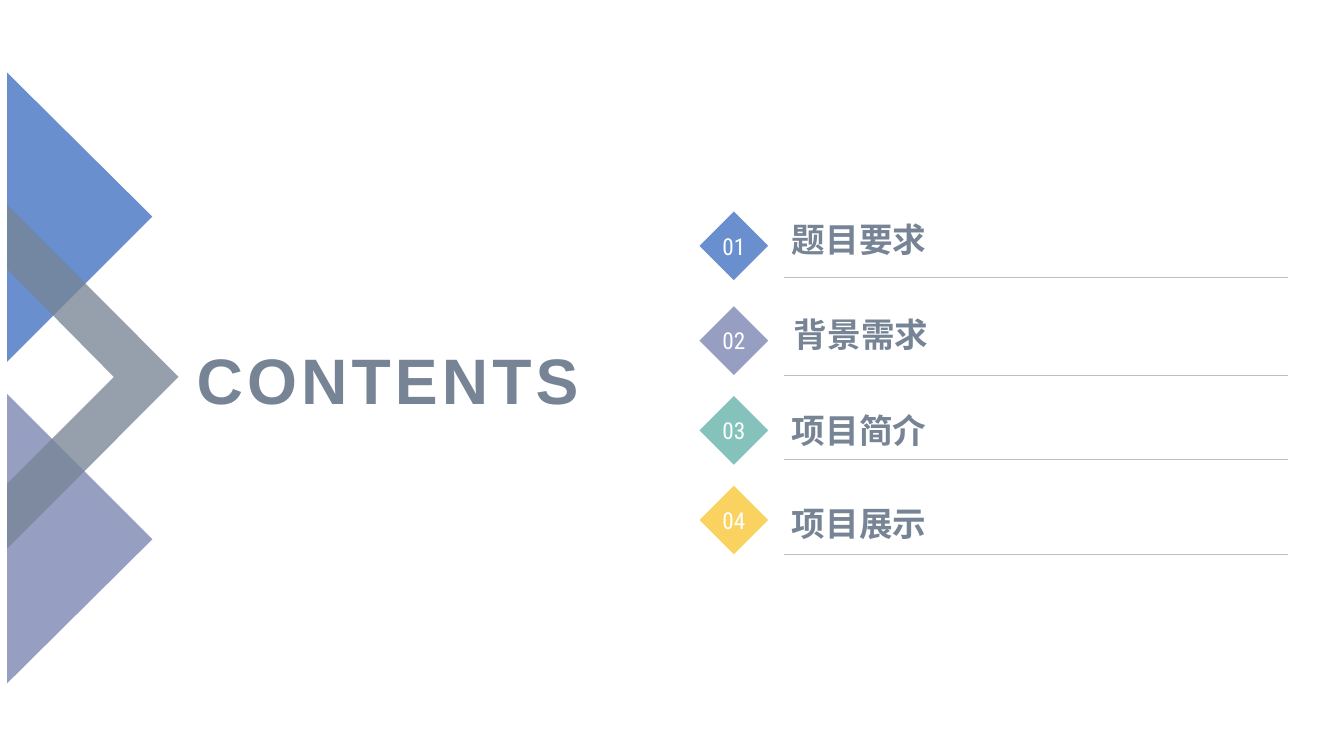
from lxml.etree import SubElement
from pptx import Presentation
from pptx.dml.color import RGBColor
from pptx.enum.shapes import MSO_CONNECTOR, MSO_SHAPE
from pptx.enum.text import MSO_ANCHOR, PP_ALIGN
from pptx.oxml.ns import qn
from pptx.util import Cm, Pt

BLUE, LILAC, TEAL, YELLOW = "698FCE", "969EC2", "85C2BC", "FAD25F"
SLATE, WHITE, RULE_GREY = "778495", "FFFFFF", "BFBFBF"

EDGE = 0.18
TOP_TRIANGLE = [(EDGE, 1.83), (3.84, 5.46), (EDGE, 9.12)]
BOTTOM_TRIANGLE = [(EDGE, 9.93), (3.84, 13.59), (EDGE, 17.22)]
CHEVRON = [(EDGE, 5.16), (4.5, 9.5), (EDGE, 13.82),
           (EDGE, 12.19), (2.87, 9.5), (EDGE, 6.78)]

DIAMOND_LEFT, DIAMOND_SIZE = 17.63, 1.73
RULE_LEFT, RULE_RIGHT = 19.76, 32.46
LABEL_WIDTH, LABEL_HEIGHT = 11, 0.84

# number, heading, colour, diamond top, label left, label top, rule height
CHAPTERS = [
    ("01", "题目要求", BLUE, 5.33, 19.71, 5.82, 6.99),
    ("02", "背景需求", LILAC, 7.72, 19.76, 8.2, 9.45),
    ("03", "项目简介", TEAL, 9.98, 19.71, 10.64, 11.56),
    ("04", "项目展示", YELLOW, 12.24, 19.71, 12.98, 13.97),
]

TITLE_FONT = {"name": "Arial", "size": Pt(45.9), "bold": True}
HEADING_FONT = {"name": "Arial", "size": Pt(24), "bold": True}
NUMBER_FONT = {"name": "Roboto Condensed", "size": Pt(16.6)}


def paint(color_format, color):
    """Give a fill or a font the hex colour."""
    color_format.rgb = RGBColor.from_string(color)


def fill_plain(shape, color):
    """Fill a shape with one colour, without outline or shadow."""
    shape.shadow.inherit = False
    shape.fill.solid()
    paint(shape.fill.fore_color, color)
    shape.line.fill.background()


def write(shape, words, font_values, color, align, anchor, wrap=False):
    """Put one formatted line of text into a shape and return its run."""
    frame = shape.text_frame
    frame.word_wrap = wrap
    frame.vertical_anchor = anchor
    line = frame.paragraphs[0]
    line.alignment = align
    run = line.add_run()
    run.text = words
    for attribute, value in font_values.items():
        setattr(run.font, attribute, value)
    paint(run.font.color, color)
    return run


def add_outline(slide, corners, color, opacity=100):
    """Draw a closed polygon with the given opacity in percent."""
    points = [(Cm(x), Cm(y)) for x, y in corners]
    builder = slide.shapes.build_freeform(*points[0], scale=1.0)
    builder.add_line_segments(points[1:], close=True)
    polygon = builder.convert_to_shape()
    fill_plain(polygon, color)
    if opacity < 100:
        tint = polygon.fill._xPr.find(qn("a:solidFill"))[0]
        SubElement(tint, qn("a:alpha")).set("val", str(opacity * 1000))


def add_title(slide, words):
    """Add the widely spaced title."""
    title = slide.shapes.add_textbox(Cm(4.45), Cm(8.26), Cm(10.39), Cm(2.57))
    run = write(title, words, TITLE_FONT, SLATE,
                PP_ALIGN.RIGHT, MSO_ANCHOR.MIDDLE, wrap=True)
    run.font._element.set("spc", "300")


def add_diamond(slide, number, color, top):
    """Add a numbered diamond."""
    diamond = slide.shapes.add_shape(
        MSO_SHAPE.DIAMOND, Cm(DIAMOND_LEFT), Cm(top),
        Cm(DIAMOND_SIZE), Cm(DIAMOND_SIZE))
    fill_plain(diamond, color)
    write(diamond, number, NUMBER_FONT, WHITE,
          PP_ALIGN.CENTER, MSO_ANCHOR.MIDDLE)


def add_heading(slide, heading, left, top):
    """Add the heading of a chapter."""
    label = slide.shapes.add_textbox(
        Cm(left), Cm(top), Cm(LABEL_WIDTH), Cm(LABEL_HEIGHT))
    write(label, heading, HEADING_FONT, SLATE,
          PP_ALIGN.LEFT, MSO_ANCHOR.BOTTOM)


def add_rule(slide, height):
    """Add the thin line below a heading."""
    rule = slide.shapes.add_connector(
        MSO_CONNECTOR.STRAIGHT, Cm(RULE_LEFT), Cm(height),
        Cm(RULE_RIGHT), Cm(height))
    paint(rule.line.color, RULE_GREY)
    rule.line.width = Pt(0.25)
    SubElement(rule._element.spPr, qn("a:effectLst"))


def main():
    """Build the contents slide and save it."""
    deck = Presentation()
    deck.slide_width, deck.slide_height = Cm(33.87), Cm(19.05)
    slide = deck.slides.add_slide(deck.slide_layouts[6])
    add_outline(slide, BOTTOM_TRIANGLE, LILAC)
    add_outline(slide, TOP_TRIANGLE, BLUE)
    add_outline(slide, CHEVRON, SLATE, opacity=77)
    add_title(slide, "CONTENTS")
    for number, heading, color, top, left, label_top, height in CHAPTERS:
        add_diamond(slide, number, color, top)
        add_heading(slide, heading, left, label_top)
        add_rule(slide, height)
    deck.save("out.pptx")


if __name__ == "__main__":
    main()
